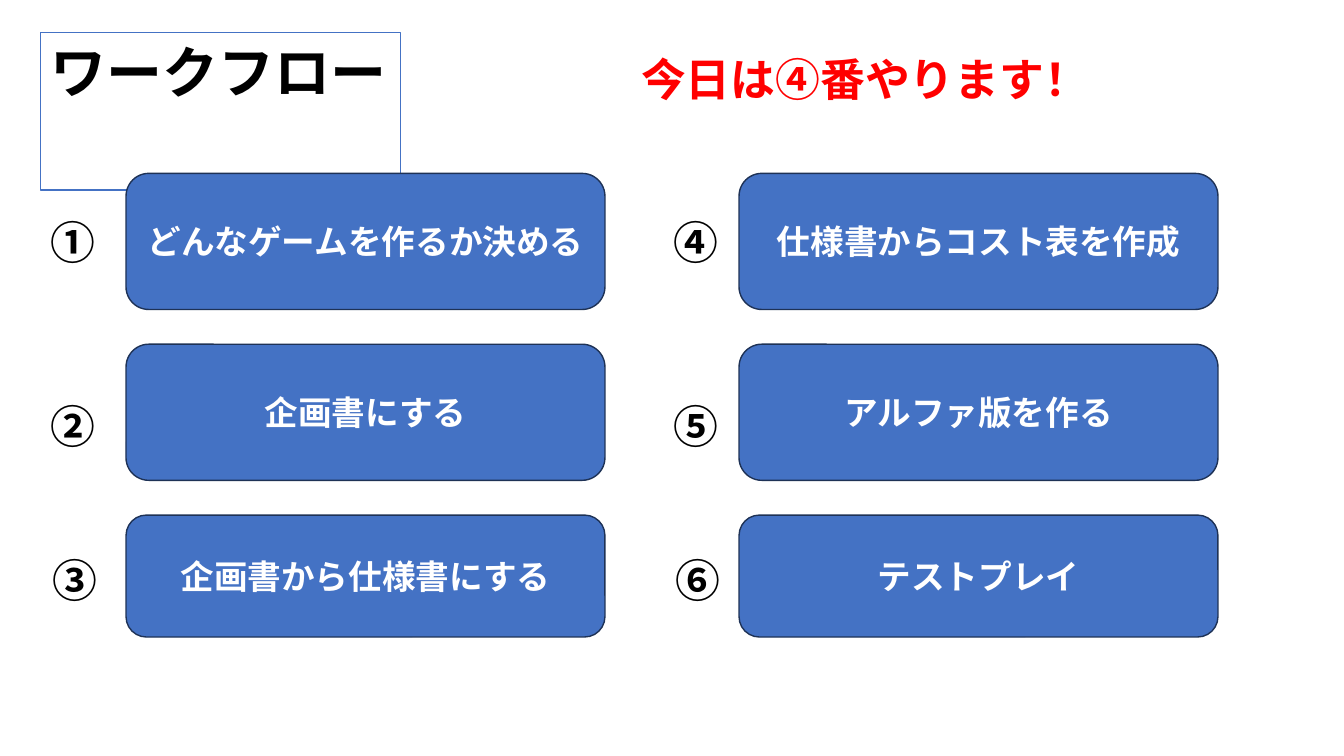
import pptx
import pptx.util
import pptx.dml.color
import pptx.enum.shapes
import pptx.enum.text
import pptx.oxml
import pptx.oxml.ns

Inches = pptx.util.Inches
RGBColor = pptx.dml.color.RGBColor
Align = pptx.enum.text.PP_ALIGN
Anchor = pptx.enum.text.MSO_ANCHOR
AutoSize = pptx.enum.text.MSO_AUTO_SIZE

TITLE = "ワークフロー"
NOTICE = "今日は④番やります！"
COLUMNS = [
    [("①", "どんなゲームを作るか決める"), ("②", "企画書にする"), ("③", "企画書から仕様書にする")],
    [("④", "仕様書からコスト表を作成"), ("⑤", "アルファ版を作る"), ("⑥", "テストプレイ")],
]
COLUMN_LEFTS = [(0.4, 1.25), (6.58, 7.33)]
ROWS = [(2.08, 1.35), (3.91, 1.35), (5.43, 1.21)]
STEP_TOP, STEP_PITCH, STEP_WIDTH = 1.72, 1.695, 4.75
LAST_NUMBER_SHIFT = 0.02

FONT = "Noto Sans CJK JP"
BLACK = RGBColor(0, 0, 0)
WHITE = RGBColor(255, 255, 255)
RED = RGBColor(255, 0, 0)
BLUE = RGBColor(0x44, 0x72, 0xC4)
NAVY = RGBColor(0x1E, 0x32, 0x56)


def write(shape, text, size, color, align=Align.LEFT, anchor=Anchor.TOP,
          wrap=True, auto_size=AutoSize.SHAPE_TO_FIT_TEXT):
    frame = shape.text_frame
    frame.text = text
    frame.word_wrap = wrap
    frame.auto_size = auto_size
    frame.vertical_anchor = anchor
    paragraph = frame.paragraphs[0]
    paragraph.alignment = align
    font = paragraph.font
    font.size = pptx.util.Pt(size)
    font.bold = True
    font.color.rgb = color
    font.name = FONT
    properties = paragraph._p.pPr.find(pptx.oxml.ns.qn("a:defRPr"))
    latin = properties.find(pptx.oxml.ns.qn("a:latin"))
    latin.addnext(pptx.oxml.parse_xml(
        f'<a:ea {pptx.oxml.ns.nsdecls("a")} typeface="{FONT}"/>'))


def paint(shape, fill, line):
    shape.fill.solid()
    shape.fill.fore_color.rgb = fill
    shape.line.color.rgb = line
    shape.line.width = pptx.util.Pt(1)


def add_text(slide, box, text, wrap):
    label = slide.shapes.add_textbox(*map(Inches, box))
    write(label, text, 32, RED if wrap else BLACK, wrap=wrap)


def add_step(slide, box, text):
    step = slide.shapes.add_shape(
        pptx.enum.shapes.MSO_SHAPE.ROUNDED_RECTANGLE, *map(Inches, box))
    step.shadow.inherit = False
    paint(step, BLUE, NAVY)
    write(step, text, 24, WHITE, Align.CENTER, Anchor.MIDDLE, auto_size=AutoSize.NONE)


def main():
    presentation = pptx.Presentation()
    presentation.slide_width = Inches(13.33)
    presentation.slide_height = Inches(7.5)
    slide = presentation.slides.add_slide(presentation.slide_layouts[5])

    title = slide.shapes.title
    title.left, title.top, title.width, title.height = map(Inches, (0.4, 0.32, 3.57, 0.77))
    paint(title, WHITE, BLUE)
    write(title, TITLE, 40, BLACK, wrap=False)

    for (number_left, step_left), steps in zip(COLUMN_LEFTS, COLUMNS):
        for row, ((number_top, height), (number, text)) in enumerate(zip(ROWS, steps)):
            add_step(slide, (step_left, STEP_TOP + row * STEP_PITCH, STEP_WIDTH, height), text)
            shift = LAST_NUMBER_SHIFT if row == len(ROWS) - 1 else 0
            add_text(slide, (number_left + shift, number_top, 0.65, 0.64), number, False)

    add_text(slide, (6.26, 0.46, 5.96, 0.64), NOTICE, True)
    presentation.save("out.pptx")


if __name__ == "__main__":
    main()
